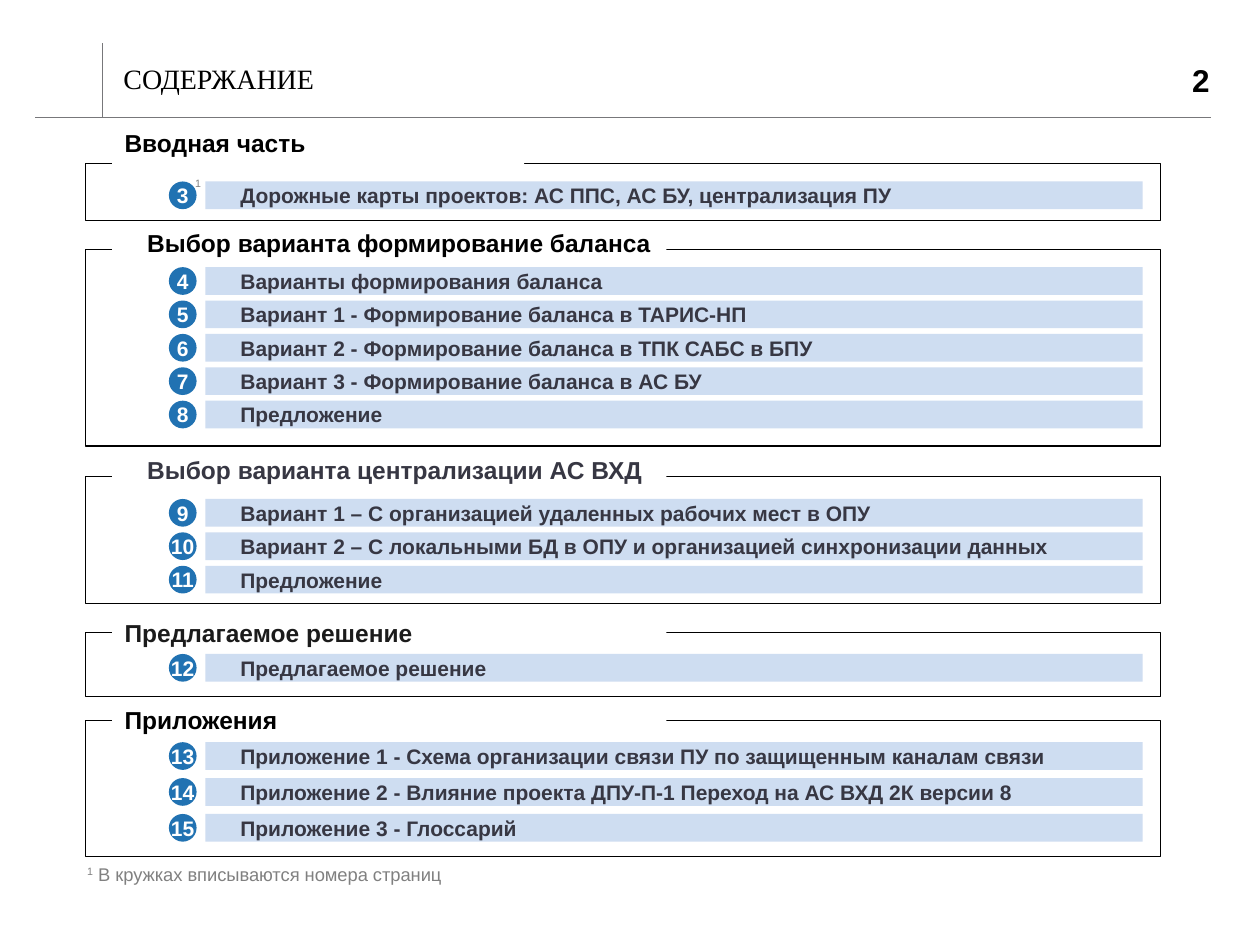
from dataclasses import dataclass

from lxml.etree import SubElement
from pptx import Presentation
from pptx.dml.color import RGBColor
from pptx.enum.shapes import MSO_CONNECTOR, MSO_SHAPE
from pptx.enum.text import MSO_ANCHOR as Anchor, MSO_AUTO_SIZE, PP_ALIGN as Align
from pptx.oxml.ns import qn
from pptx.util import Inches, Pt

BLACK = RGBColor(0x00, 0x00, 0x00)
WHITE = RGBColor(0xFF, 0xFF, 0xFF)
INK = RGBColor(0x37, 0x37, 0x43)
NEAR_BLACK = RGBColor(0x1B, 0x1B, 0x1B)
GREY = RGBColor(0x80, 0x80, 0x80)
RULE_GREY = RGBColor(0x77, 0x77, 0x7A)
BAR_BLUE = RGBColor(0xCE, 0xDD, 0xF1)
BADGE_BLUE = RGBColor(0x21, 0x72, 0xB2)

FRAME_LEFT, FRAME_WIDTH = 0.68, 8.53
BAR_LEFT, BAR_WIDTH = 1.63, 7.44
BADGE_LEFT, ROW_HEIGHT = 1.34, 0.22
HEADING_LEFT, HEADING_HEIGHT = 0.89, 0.34
INDENT = 0.18
FIRST_PAGE = 3


@dataclass(frozen=True)
class Section:
    heading: str
    heading_top: float
    frame_top: float
    frame_height: float
    first_row: float
    last_row: float
    entries: tuple[str, ...]
    heading_width: float = 4.4
    heading_indent: float = 0
    color: RGBColor = BLACK


SECTIONS = (
    Section("Вводная часть", 0.97, 1.3, 0.45, 1.44, 1.44,
            ("Дорожные карты проектов: АС ППС, АС БУ, централизация ПУ",),
            heading_width=3.27),
    Section("Выбор варианта формирование баланса", 1.76, 1.98, 1.56, 2.12, 3.18,
            ("Варианты формирования баланса",
             "Вариант 1 - Формирование баланса в ТАРИС-НП",
             "Вариант 2 - Формирование баланса в ТПК САБС в БПУ",
             "Вариант 3 - Формирование баланса в АС БУ",
             "Предложение"),
            heading_indent=INDENT),
    Section("Выбор варианта централизации АС ВХД", 3.56, 3.78, 1.01, 3.96, 4.49,
            ("Вариант 1 – С организацией удаленных рабочих мест в ОПУ",
             "Вариант 2 – С локальными БД в ОПУ и организацией синхронизации данных",
             "Предложение"),
            heading_indent=INDENT, color=INK),
    Section("Предлагаемое решение", 4.86, 5.02, 0.51, 5.19, 5.19,
            ("Предлагаемое решение",), color=NEAR_BLACK),
    Section("Приложения", 5.55, 5.72, 1.08, 5.89, 6.46,
            ("Приложение 1 - Схема организации связи ПУ по защищенным каналам связи",
             "Приложение 2 - Влияние проекта ДПУ-П-1 Переход на АС ВХД 2К версии 8",
             "Приложение 3 - Глоссарий")),
)


def write(shape, text: str, *, size: float, color: RGBColor, bold: bool = False,
          font: str = "Arial", align: Align = Align.LEFT, anchor: Anchor = Anchor.MIDDLE,
          indent: float = 0, inset: bool = True, wrap: bool = True,
          superscript: str = "") -> None:
    """Fill the shape with one paragraph, led by an optional superscript."""
    frame = shape.text_frame
    frame.auto_size = MSO_AUTO_SIZE.NONE
    frame.word_wrap, frame.vertical_anchor = wrap, anchor
    if not inset:
        frame.margin_left = frame.margin_right = frame.margin_top = frame.margin_bottom = 0
    paragraph = frame.paragraphs[0]
    paragraph.alignment = align
    if indent:
        properties = paragraph._p.get_or_add_pPr()
        properties.set("marL", str(Inches(indent)))
        properties.set("indent", "0")
    for part, raised in ((superscript, True), (text, False)):
        if not part:
            continue
        run = paragraph.add_run()
        run.text = part
        run.font.name, run.font.size, run.font.bold = font, Pt(size), bold
        run.font.color.rgb = color
        if raised:
            run._r.get_or_add_rPr().set("baseline", "30000")


def add_block(slide, left: float, top: float, width: float, height: float,
              fill: RGBColor, kind: MSO_SHAPE = MSO_SHAPE.RECTANGLE,
              outline: RGBColor | None = None):
    block = slide.shapes.add_shape(kind, Inches(left), Inches(top), Inches(width), Inches(height))
    block.shadow.inherit = False
    block.fill.solid()
    block.fill.fore_color.rgb = fill
    if outline is None:
        block.line.fill.background()
    else:
        block.line.color.rgb = outline
        block.line.width = Pt(0.75)
    return block


def add_text_box(slide, left: float, top: float, width: float, height: float):
    return slide.shapes.add_textbox(Inches(left), Inches(top), Inches(width), Inches(height))


def add_rule(slide, x1: float, y1: float, x2: float, y2: float) -> None:
    rule = slide.shapes.add_connector(
        MSO_CONNECTOR.STRAIGHT, Inches(x1), Inches(y1), Inches(x2), Inches(y2))
    rule.line.color.rgb = RULE_GREY
    rule.line.width = Pt(0.25)
    SubElement(rule._element.spPr, qn("a:effectLst"))


def add_entry(slide, top: float, page: int, entry: str) -> None:
    bar = add_block(slide, BAR_LEFT, top, BAR_WIDTH, ROW_HEIGHT, BAR_BLUE)
    write(bar, entry, size=12, color=INK, bold=True, indent=INDENT)
    badge = add_block(slide, BADGE_LEFT, top, ROW_HEIGHT, ROW_HEIGHT, BADGE_BLUE, MSO_SHAPE.OVAL)
    write(badge, str(page), size=12, color=WHITE, bold=True, align=Align.CENTER,
          inset=False, wrap=False)


def add_section(slide, section: Section, first_page: int) -> None:
    add_block(slide, FRAME_LEFT, section.frame_top, FRAME_WIDTH, section.frame_height,
              WHITE, outline=BLACK)
    heading = add_block(slide, HEADING_LEFT, section.heading_top, section.heading_width,
                        HEADING_HEIGHT, WHITE)
    write(heading, section.heading, size=14, color=section.color, bold=True,
          anchor=Anchor.TOP, indent=section.heading_indent)
    pitch = (section.last_row - section.first_row) / max(len(section.entries) - 1, 1)
    for row, entry in enumerate(section.entries):
        add_entry(slide, section.first_row + row * pitch, first_page + row, entry)


def main() -> None:
    deck = Presentation()
    deck.slide_width, deck.slide_height = Inches(10), Inches(7.5)
    slide = deck.slides.add_slide(deck.slide_layouts[5])

    add_rule(slide, 9.61, 0.93, 0.28, 0.93)
    add_rule(slide, 0.81, 0.93, 0.81, 0.34)

    title = slide.shapes.title
    title.left, title.top = Inches(0.88), Inches(0.44)
    title.width, title.height = Inches(8.1), Inches(0.39)
    write(title, "СОДЕРЖАНИЕ", size=16, color=BLACK, font="Times New Roman")
    title.text_frame.paragraphs[0].line_spacing = 0.9

    page_number = add_text_box(slide, 9.21, 0.38, 0.39, 0.51)
    write(page_number, "2", size=18, color=BLACK, bold=True, align=Align.RIGHT, inset=False)

    page = FIRST_PAGE
    for section in SECTIONS:
        add_section(slide, section, page)
        page += len(section.entries)

    footnote_mark = add_text_box(slide, 1.45, 1.34, 0.22, 0.28)
    footnote = add_text_box(slide, 0.48, 6.8, 3.24, 0.28)
    for note, text in ((footnote_mark, ""), (footnote, " В кружках вписываются номера страниц")):
        write(note, text, size=10.5, color=GREY, align=Align.CENTER, anchor=Anchor.TOP,
              superscript="1")

    deck.save("out.pptx")


if __name__ == "__main__":
    main()
